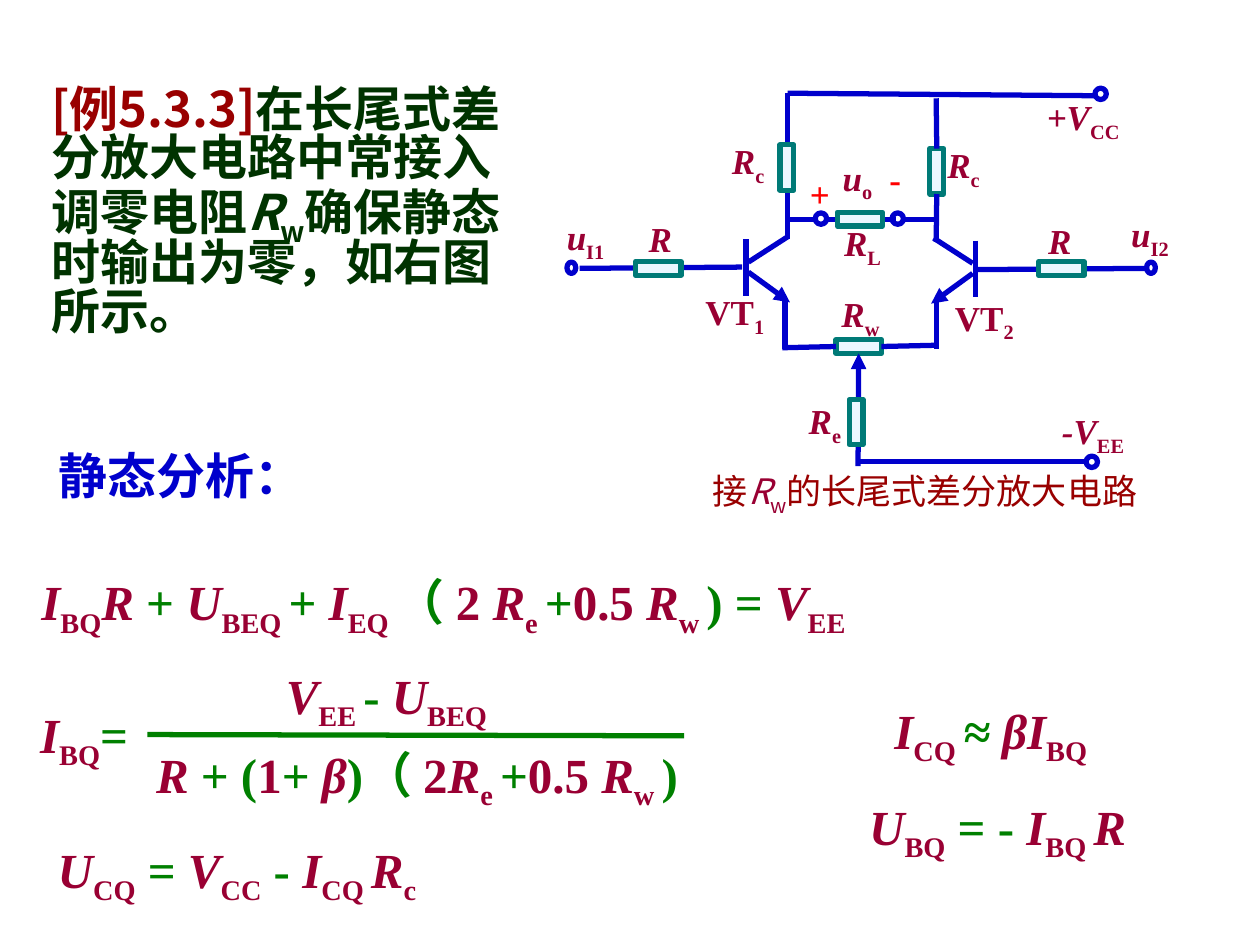
from lxml.etree import SubElement
from pptx import Presentation
from pptx.dml.color import RGBColor
from pptx.enum.shapes import MSO_CONNECTOR, MSO_SHAPE
from pptx.oxml.ns import qn
from pptx.util import Inches, Pt

COLS, ROWS = 100, 75
SERIF, SANS = "Times New Roman", "Noto Sans CJK SC"
BLUE, TEAL, PALE = "0000CC", "007A77", "EBF7FF"
WINE, GREEN, RED = "990033", "008000", "FF0000"
INKS = {"g": GREEN, "r": RED, "k": BLUE, "d": "990000", "n": "003300"}

# column, row, width, height, marked-up runs
FORMULAS = [
    (2.2, 55.4, 9.6, 6.3, "i:I|s:BQ|g:="),
    (21.7, 52.3, 34.4, 6.3, "i:V|s:EE |g:- |i:U|s:BEQ"),
    (11.4, 58.6, 58.8, 6.3, "i:R |g:+ (|:1|g:+ |i:β|g:)（ |:2|i:R|s:e |g:+|:0.5 |i:R|s:w |g:)"),
    (3.6, 66.1, 51.9, 6.3, "i:U|s:CQ|g: = |i:V|s:CC|g: - |i:I|s:CQ |i:R|s:c"),
    (70, 55.1, 30, 6.3, "i:I|s:CQ |gi:≈|i: βI|s:BQ"),
    (68, 62.7, 34.5, 6.3, "i:U|s:BQ|g: = - |i:I|s:BQ |i:R"),
    (2.3, 44.9, 83.3, 6.3,
     "i:I|s:BQ|i:R |g:+ |i:U|s:BEQ |g:+ |i:I|s:EQ |g:（ |:2 |i:R|s:e |g:+|:0.5 |i:R|s:w |g:) = |i:V|s:EE"),
]
LABELS = [
    (63.3, 13.2, 3.6, "r:+"), (69.6, 12, 3.6, "r:-"), (65.9, 11.9, 5, "i:u|s:o"),
    (88.8, 16.4, 5.4, "i:u|s:I2"), (44, 16.6, 5.4, "i:u|s:I1"),
    (82.1, 7.1, 9, "i:+V|s:CC"), (83.3, 32, 8, "i:-V|s:EE"),
    (82.2, 16.9, 4.1, "i:R"), (50.5, 16.8, 3.9, "i:R"),
    (57.1, 10.6, 5.5, "i:R|s:c"), (74.2, 10.9, 5, "i:R|s:c"),
    (55, 22.6, 7.6, ":VT|s:1"), (74.8, 23, 7.1, ":VT|s:2"),
    (63.2, 31.2, 5.5, "i:R|s:e"), (65.8, 22.7, 6, "i:R|s:w"),
    (66, 17.1, 5.5, "i:R|s:L"),
]
WIRES = [
    (65.6, 17.4, 71.1, 17.4), (46, 21.3, 58.9, 21.2), (77.4, 21.4, 91.2, 21.3),
    (59.2, 19, 59.2, 23.5), (59.4, 20.8, 62.5, 18.8),
    (77.4, 19.1, 77.4, 23.6), (77.2, 20.9, 74.1, 18.9),
    (62.5, 7.4, 62.5, 19), (62.5, 7.4, 87, 7.6), (62.3, 23.9, 62.3, 27.7),
    (74.3, 23.9, 74.3, 27.7), (62.6, 17.4, 64.8, 17.4), (74.3, 17.4, 71.8, 17.4),
    (68, 36.6, 86.4, 36.6),
]
EMITTERS = [(59.4, 21.6, 62.7, 24), (77.2, 21.7, 73.9, 24.1)]
PORTS = [(64.7, 16.9, 0.9), (70.8, 16.9, 0.9), (45, 20.8, 0.7),
         (91, 20.8, 0.7), (86.9, 7, 0.9), (86.2, 36.2, 0.9)]
UPRIGHT = [(62.45, 13.3), (67.95, 33.5)]
LEVEL = [(84.25, 21.3), (52.25, 21.3), (68.25, 17.4)]


def ink(code):
    """Turn a hex string into a colour."""
    return RGBColor.from_string(code)


def grid(*cells):
    """Turn grid cells of a tenth of an inch into lengths."""
    return [Inches(cell / 10) for cell in cells]


def write(slide, box, text, size=28, font=SERIF, bold=True, pitch=None):
    """Add a text box from runs marked as style:words, split by bars."""
    frame = slide.shapes.add_textbox(*grid(*box)).text_frame
    frame.word_wrap = True
    para = frame.paragraphs[0]
    if pitch:
        para.line_spacing = pitch
    for part in text.split("|"):
        style, _, words = part.partition(":")
        run = para.add_run()
        run.text = words
        face = run.font
        face.size, face.name = Pt(size), font
        face.bold, face.italic = bold, "i" in style
        face.color.rgb = ink(next((INKS[s] for s in style if s in INKS), WINE))
        props = run._r.get_or_add_rPr()
        SubElement(props, qn("a:ea")).set("typeface", SANS)
        if "s" in style:
            props.set("baseline", "-25000")


def wire(slide, ends, color=BLUE, arrow=False, start=None, stop=None):
    """Add a line, joined to a (shape, site) pair where one is given."""
    line = slide.shapes.add_connector(MSO_CONNECTOR.STRAIGHT, *grid(*ends))
    line.line.color.rgb = ink(color)
    line.line.width = Pt(3)
    if start:
        line.begin_connect(*start)
    if stop:
        line.end_connect(*stop)
    props = line.element.spPr
    if arrow:
        SubElement(props.find(qn("a:ln")), qn("a:tailEnd")).set("type", "triangle")
    SubElement(props, qn("a:effectLst"))


def part(slide, kind, box, color, fill=None):
    """Add an outlined shape of the circuit."""
    shape = slide.shapes.add_shape(kind, *grid(*box))
    shape.shadow.inherit = False
    shape.line.color.rgb = ink(color)
    shape.line.width = Pt(3)
    if fill:
        shape.fill.solid()
        shape.fill.fore_color.rgb = ink(fill)
    else:
        shape.fill.background()
    return shape


def load(slide, x, y, wide=3.6, high=1.1):
    """Add a resistor centred on a grid point."""
    box = (x - wide / 2, y - high / 2, wide, high)
    return part(slide, MSO_SHAPE.RECTANGLE, box, TEAL, PALE)


def draw(slide):
    """Draw the amplifier circuit with its labels."""
    for ends in WIRES:
        wire(slide, ends)
    for ends in EMITTERS:
        wire(slide, ends, arrow=True)
    right = load(slide, 74.35, 13.6, 1.1, 3.6)
    trim = load(slide, 68.15, 27.5)
    wire(slide, (74.3, 7.8, 74.3, 11.9), stop=(right, 0))
    wire(slide, (74.3, 15.5, 74.3, 19.2), start=(right, 2))
    wire(slide, (62.1, 27.6, 66.5, 27.6), stop=(trim, 1))
    wire(slide, (69.9, 27.6, 74.5, 27.4), start=(trim, 3))
    wire(slide, (68.1, 37, 68.1, 27.7), arrow=True, stop=(trim, 2))
    for x, y in UPRIGHT:
        load(slide, x, y, 1.1, 3.6)
    for x, y in LEVEL:
        load(slide, x, y)
    for x, y, wide in PORTS:
        part(slide, MSO_SHAPE.OVAL, (x, y, wide, 0.9), BLUE)
    for x, y, wide, text in LABELS:
        write(slide, (x, y, wide, 4.8), text, 20)
    write(slide, (55.6, 36.8, 36.8, 4.8), "d:接|i:R|s:w|d:的长尾式差分放大电路",
          20, SANS, False)


def main():
    """Build and save the slide."""
    deck = Presentation()
    deck.slide_width, deck.slide_height = grid(COLS, ROWS)
    slide = deck.slides.add_slide(deck.slide_layouts[6])
    write(slide, (3.1, 6.5, 37.8, 25),
          "d:[例5.3.3]|n:在长尾式差分放大电路中常接入调零电阻|ni:R|ns:w|n:确保静态时输出为零，如右图所示。",
          font=SANS, pitch=0.83)
    write(slide, (3.7, 34.9, 31, 5.7), "k:静态分析：")
    for *box, text in FORMULAS:
        write(slide, box, text)
    wire(slide, (11.7, 58.3, 54.3, 58.4), GREEN)
    draw(slide)
    deck.save("out.pptx")


if __name__ == "__main__":
    main()
